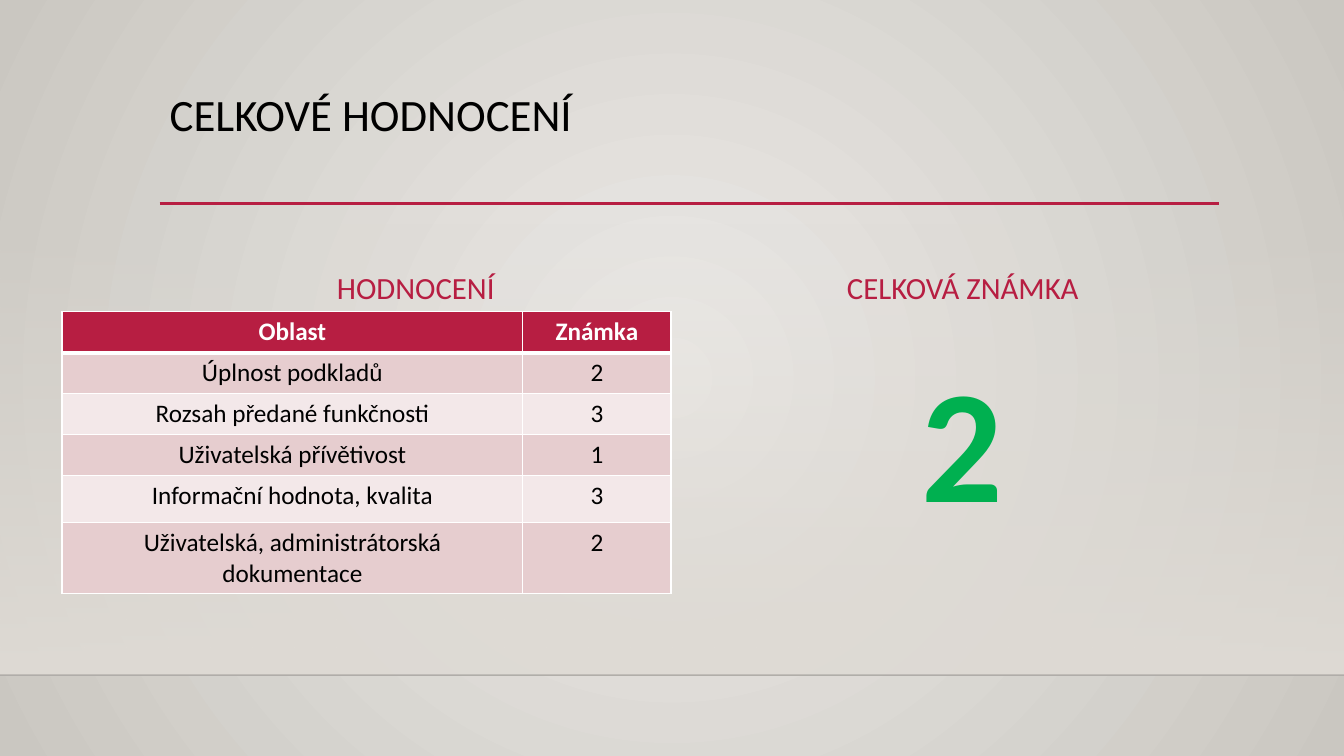
from lxml.etree import SubElement
from pptx import Presentation
from pptx.dml.color import RGBColor
from pptx.enum.shapes import MSO_CONNECTOR, MSO_SHAPE
from pptx.enum.text import MSO_ANCHOR, MSO_AUTO_SIZE, PP_ALIGN
from pptx.oxml import parse_xml
from pptx.oxml.ns import nsdecls, qn
from pptx.util import Pt

WIDE, HIGH = 1280, 720
RED, BLACK, WHITE, GREEN = "B71E42", "000000", "FFFFFF", "00B050"
BANDS = ["E6CDCF", "F3E8E9"]
ROWS = [
    ("Oblast", "Známka"),
    ("Úplnost podkladů", "2"),
    ("Rozsah předané funkčnosti", "3"),
    ("Uživatelská přívětivost", "1"),
    ("Informační hodnota, kvalita", "3"),
    ("Uživatelská, administrátorská dokumentace", "2"),
]


def px(size):
    return size * 9525


def paint(target, shade):
    target.rgb = RGBColor.from_string(shade)


def blend(stops, tail):
    marks = "".join(
        f'<a:gs pos="{spot * 1000}"><a:srgbClr val="{shade}">'
        f'<a:alpha val="{alpha * 1000}"/></a:srgbClr></a:gs>'
        for spot, shade, alpha in stops
    )
    return parse_xml(
        f'<a:gradFill {nsdecls("a")} rotWithShape="1">'
        f"<a:gsLst>{marks}</a:gsLst>{tail}</a:gradFill>"
    )


def swap(fill, new):
    fill.getparent().replace(fill, new)


def rule(slide, left, top, width, shade, weight, alpha=100):
    line = slide.shapes.add_connector(
        MSO_CONNECTOR.STRAIGHT, px(left), px(top), px(left + width), px(top)
    )
    paint(line.line.color, shade)
    line.line.width = Pt(weight)
    tint = line.element.spPr.find(".//" + qn("a:srgbClr"))
    SubElement(tint, qn("a:alpha"), val=str(alpha * 1000))
    SubElement(line.element.spPr, qn("a:effectLst"))


def style(part, size, shade, bold=False, align=PP_ALIGN.CENTER):
    part.alignment = align
    for run in part.runs:
        run.font.name = "Calibri"
        run.font.size = Pt(size)
        run.font.bold = bold
        paint(run.font.color, shade)


def scene(slide):
    back = slide.background.fill
    back.solid()
    glow = (
        '<a:path path="circle"><a:fillToRect l="50000" t="50000" '
        'r="50000" b="50000"/></a:path>'
    )
    fill = slide.element.find(".//" + qn("p:bgPr")).find(qn("a:solidFill"))
    swap(fill, blend([(0, "ECEAE7", 100), (100, "CAC7C1", 100)], glow))
    top, height = 212, 431
    wall = slide.shapes.add_shape(
        MSO_SHAPE.RECTANGLE, 0, px(top), px(WIDE), px(height)
    )
    wall.shadow.inherit = False
    wall.line.fill.background()
    wall.fill.solid()
    fade = blend(
        [(0, "DFDBD5", 0), (100, "DFDBD5", 100)],
        '<a:lin ang="5400000" scaled="0"/>',
    )
    swap(wall.element.spPr.find(qn("a:solidFill")), fade)
    rule(slide, 0, top + height, WIDE, "000001", 1, 20)


def heading(slide, left, top, width, height):
    title = slide.shapes.title
    title.left, title.top = px(left), px(top)
    title.width, title.height = px(width), px(height)
    frame = title.text_frame
    frame.text = "CELKOVÉ HODNOCENÍ"
    frame.auto_size = MSO_AUTO_SIZE.NONE
    frame.vertical_anchor = MSO_ANCHOR.TOP
    part = frame.paragraphs[0]
    part.line_spacing = 0.9
    style(part, 32, BLACK, align=PP_ALIGN.LEFT)
    rule(slide, left, top + 110, width, RED, 2.5)


def label(slide, text, box, size, shade, anchor, bold=False, space=1.0):
    frame = slide.shapes.add_textbox(*map(px, box)).text_frame
    frame.word_wrap = True
    frame.vertical_anchor = anchor
    frame.text = text
    part = frame.paragraphs[0]
    part.space_before = Pt(10)
    part.line_spacing = space
    style(part, size, shade, bold)


def border(cell, row):
    props = cell._tc.get_or_add_tcPr()
    widths = [1, 1, 3 if row == 1 else 1, 3 if row == 0 else 1]
    for spot, (side, width) in enumerate(zip("LRTB", widths)):
        edge = parse_xml(
            f'<a:ln{side} {nsdecls("a")} w="{Pt(width)}"><a:solidFill>'
            f'<a:srgbClr val="{WHITE}"/></a:solidFill></a:ln{side}>'
        )
        props.insert(spot, edge)


def grades(slide, left, top):
    cols, rows = [439, 141], [39, 39, 39, 39, 45, 39]
    table = slide.shapes.add_table(
        len(rows), len(cols), px(left), px(top), px(sum(cols)), px(sum(rows))
    ).table
    for col, width in zip(table.columns, cols):
        col.width = px(width)
    for row, height in enumerate(rows):
        table.rows[row].height = px(height)
        head = row == 0
        for col, text in enumerate(ROWS[row]):
            cell = table.cell(row, col)
            cell.text_frame.text = text
            style(cell.text_frame.paragraphs[0], 18,
                  WHITE if head else BLACK, head)
            cell.fill.solid()
            paint(cell.fill.fore_color, RED if head else BANDS[(row - 1) % 2])
            border(cell, row)


def main():
    deck = Presentation()
    deck.slide_width, deck.slide_height = px(WIDE), px(HIGH)
    slide = deck.slides.add_slide(deck.slide_layouts[5])
    scene(slide)
    heading(slide, 152, 84, 1009, 111)
    for text, left in [("HODNOCENÍ", 152), ("CELKOVÁ ZNÁMKA", 673)]:
        label(slide, text, (left, 212, 488, 84), 22, RED, MSO_ANCHOR.BOTTOM)
    grades(slide, 59, 297)
    label(slide, "2", (672, 284, 488, 277), 115, GREEN,
          MSO_ANCHOR.TOP, True, 1.2)
    deck.save("out.pptx")


if __name__ == "__main__":
    main()
